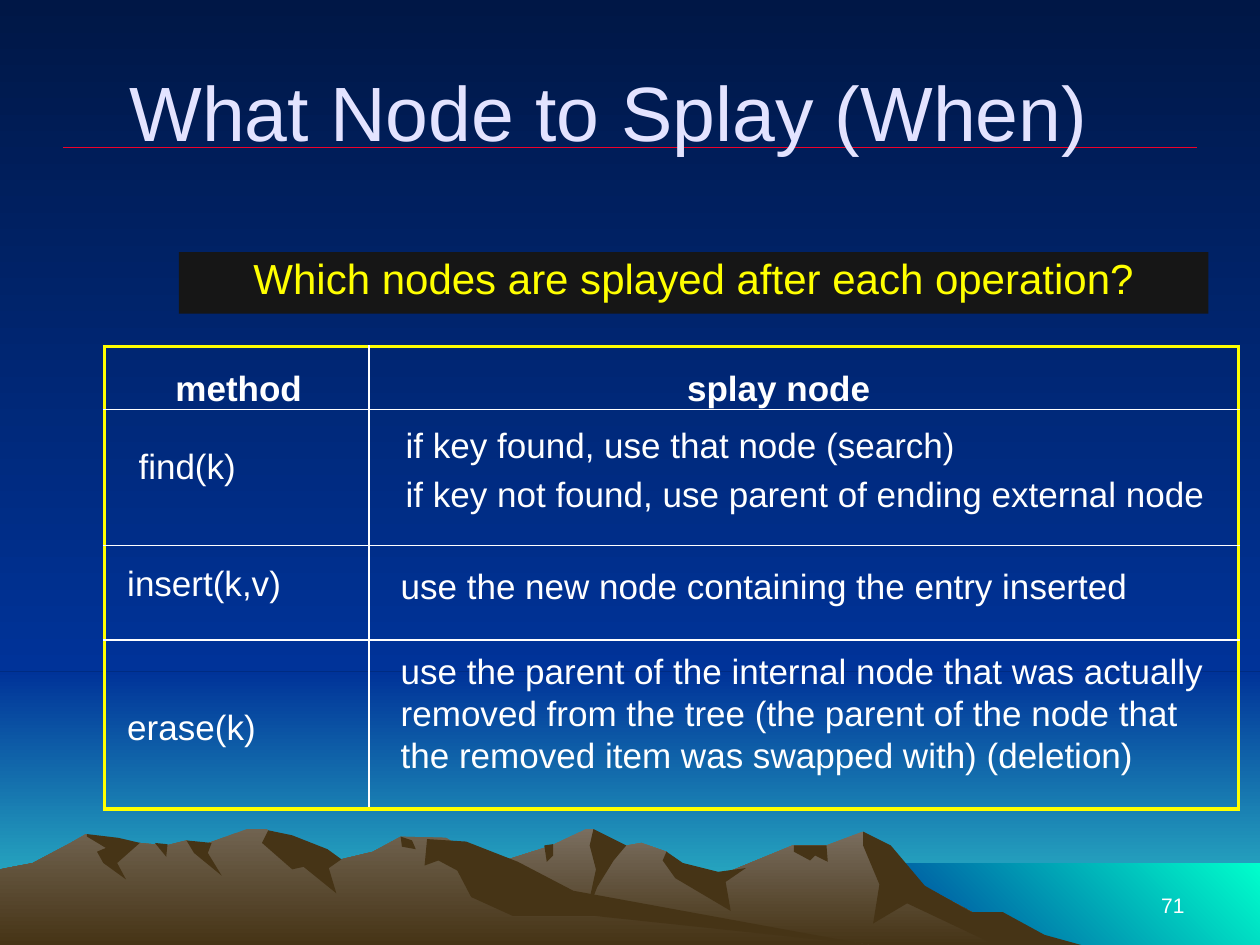
import dataclasses

import lxml.etree
import pptx
import pptx.dml.color
import pptx.enum.shapes
import pptx.enum.text
import pptx.oxml.ns
import pptx.util

Inches = pptx.util.Inches
Pt = pptx.util.Pt
ALIGN = pptx.enum.text.PP_ALIGN
ANCHOR = pptx.enum.text.MSO_ANCHOR

COLORS = {
    "night": "001746", "blue": "003399", "lagoon": "33CCCC", "sea": "00FFCC",
    "haze": "7A6E5F", "stone": "706350", "earth": "463416", "rule": "EF0129",
    "title": "E3E3FF", "banner": "161616", "yellow": "FFFF00", "white": "FFFFFF",
}
SKY = ["night", "blue"]
DOWNWARD, UP_RIGHT = 270, 45
HORIZON = 5.33
SEA_LEFT, SEA_TOP = 6.83, 6.85


@dataclasses.dataclass
class Ridge:
    light: str
    skyline: list
    shadows: dict


@dataclasses.dataclass
class Entry:
    lines: list
    left: float
    top: float
    right: float = 0.05


RIDGES = [
    Ridge("haze", [
        (2.58, 7.5), (3.27, 7.09), (3.94, 6.85), (4.38, 6.71), (4.65, 6.58), (4.71, 6.58),
        (4.86, 6.73), (5.09, 6.69), (5.29, 6.76), (5.36, 6.9), (5.66, 6.97), (6.29, 6.71),
        (6.56, 6.71), (6.85, 6.6), (7.02, 6.71), (7.23, 6.98), (8.2, 7.5),
    ], {
        "east slope": [(6.85, 6.6), (7.07, 6.71), (7.34, 7.03), (7.71, 7.24), (7.96, 7.24),
                       (8.29, 7.42), (8.58, 7.5), (7.9, 7.5), (7.2, 7.17), (6.93, 7.33),
                       (6.98, 7.02), (6.85, 6.71)],
        "central gully": [(4.71, 6.58), (4.97, 6.71), (4.87, 6.83), (4.74, 7.04), (4.65, 7.27),
                          (4.73, 6.9), (4.68, 6.71)],
        "saddle": [(5.29, 6.76), (5.42, 6.85), (5.7, 6.92), (5.92, 6.89), (5.76, 7),
                   (5.8, 7.23), (5.36, 6.97), (5.26, 6.83)],
        "shoulder": [(6.3, 6.71), (6.56, 6.71), (6.57, 6.84), (6.47, 6.79), (6.43, 6.83),
                     (6.3, 6.76)],
        "notch": [(4.32, 6.71), (4.39, 6.7), (4.39, 6.79), (4.34, 6.84)],
    }),
    Ridge("stone", [
        (0, 7.5), (0, 6.9), (0.26, 6.85), (0.56, 6.69), (0.68, 6.62), (0.94, 6.71),
        (1.11, 6.69), (1.32, 6.71), (1.48, 6.67), (1.6, 6.71), (1.96, 6.58), (2.12, 6.58),
        (2.36, 6.81), (2.71, 6.82), (2.96, 6.76), (3.18, 6.64), (3.54, 6.65), (4.32, 7.12),
        (6.9, 7.5),
    ], {
        "west slope": [(2.13, 6.59), (2.32, 6.63), (2.6, 6.74), (2.71, 6.82), (2.61, 6.89),
                       (2.67, 7.09), (2.41, 6.88), (2.32, 6.9), (2.08, 6.69)],
        "long slope": [(3.39, 6.66), (3.7, 6.68), (4.11, 6.84), (4.55, 7.07), (6.9, 7.5),
                       (4.72, 7.27), (4.07, 7.27), (3.74, 7.12), (3.63, 6.91), (3.48, 6.83),
                       (3.37, 6.87)],
        "crest": [(3.18, 6.64), (3.27, 6.67), (3.3, 6.74), (3.19, 6.72)],
        "gully": [(1.48, 6.67), (1.68, 6.69), (1.65, 6.77), (1.76, 6.95), (1.54, 6.77)],
        "dent": [(1.23, 6.69), (1.33, 6.7), (1.32, 6.8)],
        "far peak": [(0.69, 6.62), (0.94, 6.65), (1.11, 6.69), (0.93, 6.85), (1, 6.98),
                     (0.82, 6.85), (0.77, 6.76), (0.84, 6.73), (0.69, 6.64)],
    }),
]

COLUMN_WIDTHS = [2.1, 6.9]
ROWS = [
    (0.5, [Entry(["method"], 0.08, 0.16), Entry(["splay node"], 0.05, 0.16, 0.45)]),
    (1.08, [Entry(["find(k)"], 0.27, 0.28),
            Entry(["if key found, use that node (search)",
                   "if key not found, use parent of ending external node"], 0.29, 0.11)]),
    (0.75, [Entry(["insert(k,v)"], 0.18, 0.13),
            Entry(["use the new node containing the entry inserted"], 0.25, 0.15)]),
    (1.34, [Entry(["erase(k)"], 0.18, 0.52),
            Entry(["use the parent of the internal node that was actually removed from the tree "
                   "(the parent of the node that the removed item was swapped with) (deletion)"],
                  0.25, 0.08)]),
]


def rgb(name):
    return pptx.dml.color.RGBColor.from_string(COLORS[name])


def apply(target, values):
    for name, value in values.items():
        setattr(target, name, value)


def paint(fill, colors, angle=DOWNWARD):
    if len(colors) == 1:
        fill.solid()
        fill.fore_color.rgb = rgb(colors[0])
        return
    fill.gradient()
    fill.gradient_angle = angle
    for stop, color in zip(fill.gradient_stops, colors):
        stop.color.rgb = rgb(color)


def finish(shape, colors, angle=DOWNWARD):
    paint(shape.fill, colors, angle)
    shape.line.fill.background()
    shape.shadow.inherit = False


def write(paragraph, text, size, color, bold=False, **layout):
    paragraph.text = text
    apply(paragraph, layout)
    apply(paragraph.font, {"name": "Arial", "size": Pt(size), "bold": bold})
    paragraph.font.color.rgb = rgb(color)


def add_panel(slide, box, colors, angle=DOWNWARD):
    shape = slide.shapes.add_shape(pptx.enum.shapes.MSO_SHAPE.RECTANGLE, *map(Inches, box))
    finish(shape, colors, angle)
    return shape


def add_text(slide, box, text, size, color, anchor, alignment):
    frame = slide.shapes.add_textbox(*map(Inches, box)).text_frame
    apply(frame, {"word_wrap": True, "vertical_anchor": anchor})
    write(frame.paragraphs[0], text, size, color, alignment=alignment)


def add_outline(slide, left, top, points, colors):
    start, *rest = [(Inches(left + x), Inches(top + y)) for x, y in points]
    builder = slide.shapes.build_freeform(*start)
    builder.add_line_segments(rest, close=True)
    finish(builder.convert_to_shape(), colors)


def add_landscape(slide, left, top, width, height):
    add_panel(slide, (left, top + HORIZON, width, height - HORIZON), ["blue", "lagoon"])
    add_panel(slide, (left, top, width, HORIZON), SKY)
    sea = (left + SEA_LEFT, top + SEA_TOP, width - SEA_LEFT, height - SEA_TOP)
    add_panel(slide, sea, ["blue", "sea"], UP_RIGHT)
    for ridge in RIDGES:
        add_outline(slide, left, top, ridge.skyline, [ridge.light, "earth"])
        for shadow in ridge.shadows.values():
            add_outline(slide, left, top, shadow, ["earth"])


def add_heading(slide, left, top, width, height):
    y = Inches(top + 0.92)
    rule = slide.shapes.add_connector(
        pptx.enum.shapes.MSO_CONNECTOR.STRAIGHT, Inches(left + 0.33), y, Inches(left + width), y)
    rule.line.color.rgb = rgb("rule")
    rule.line.width = Pt(1)
    lxml.etree.SubElement(rule._element.spPr, pptx.oxml.ns.qn("a:effectLst"))
    add_text(slide, (left, top, width, height), "What Node to Splay (When)", 44, "title",
             ANCHOR.MIDDLE, ALIGN.CENTER)


def add_banner(slide, left, top, width, height):
    frame = add_panel(slide, (left, top, width, height), ["banner"]).text_frame
    apply(frame, {"word_wrap": True, "vertical_anchor": ANCHOR.TOP})
    write(frame.paragraphs[0], "Which nodes are splayed after each operation?", 24, "yellow",
          alignment=ALIGN.CENTER, line_spacing=0.9)


def add_borders(cell, outer_edges):
    properties = cell._tc.get_or_add_tcPr()
    for index, (side, is_outer) in enumerate(outer_edges.items()):
        color, width = ("yellow", 2.25) if is_outer else ("white", 1)
        border = lxml.etree.Element(pptx.oxml.ns.qn("a:" + side), w=str(Pt(width)))
        fill = lxml.etree.SubElement(border, pptx.oxml.ns.qn("a:solidFill"))
        lxml.etree.SubElement(fill, pptx.oxml.ns.qn("a:srgbClr"), val=COLORS[color])
        properties.insert(index, border)


def fill_cell(cell, entry, is_header):
    apply(cell, {"margin_left": Inches(entry.left), "margin_top": Inches(entry.top),
                 "margin_right": Inches(entry.right), "margin_bottom": 0,
                 "vertical_anchor": ANCHOR.TOP})
    cell.fill.background()
    for index, line in enumerate(entry.lines):
        frame = cell.text_frame
        paragraph = frame.add_paragraph() if index else frame.paragraphs[0]
        write(paragraph, line, 20, "white", bold=is_header, line_spacing=Pt(24),
              space_before=Pt(4 if index else 0),
              alignment=ALIGN.CENTER if is_header else ALIGN.LEFT)


def add_method_table(slide, left, top, width, height):
    last_row, last_column = len(ROWS) - 1, len(COLUMN_WIDTHS) - 1
    box = map(Inches, (left, top, width, height))
    table = slide.shapes.add_table(len(ROWS), len(COLUMN_WIDTHS), *box).table
    apply(table, {"first_row": False, "horz_banding": False})
    for column, column_width in zip(table.columns, COLUMN_WIDTHS):
        column.width = Inches(column_width)
    for row, (row_height, entries) in enumerate(ROWS):
        table.rows[row].height = Inches(row_height)
        for column, entry in enumerate(entries):
            cell = table.cell(row, column)
            fill_cell(cell, entry, row == 0)
            add_borders(cell, {"lnL": column == 0, "lnR": column == last_column,
                               "lnT": row == 0, "lnB": row == last_row})


def main():
    presentation = pptx.Presentation()
    apply(presentation, {"slide_width": Inches(10), "slide_height": Inches(7.5)})
    slide = presentation.slides.add_slide(presentation.slide_layouts[6])
    paint(slide.background.fill, SKY)
    add_landscape(slide, 0, 0, 10, 7.5)
    add_heading(slide, 0.17, 0.25, 9.33, 1.25)
    add_text(slide, (7.17, 6.83, 2.33, 0.5), "71", 12, "white", ANCHOR.BOTTOM, ALIGN.RIGHT)
    add_banner(slide, 1.42, 2, 8.17, 0.49)
    add_method_table(slide, 0.83, 2.75, 9, 3.67)
    presentation.save("out.pptx")


if __name__ == "__main__":
    main()
